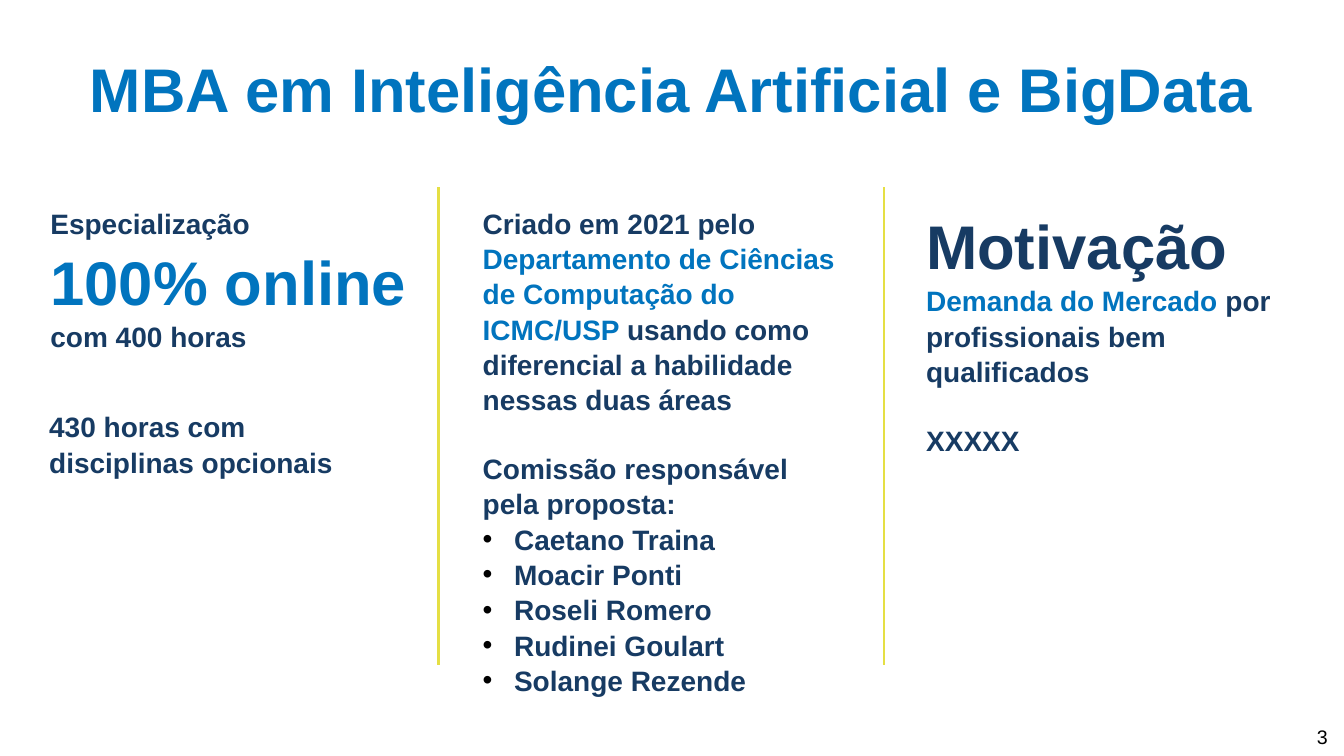
from dataclasses import dataclass

from lxml import etree
from pptx import Presentation
from pptx.dml.color import RGBColor
from pptx.enum.shapes import MSO_CONNECTOR
from pptx.enum.text import MSO_ANCHOR, MSO_AUTO_SIZE, PP_ALIGN
from pptx.oxml.ns import qn
from pptx.util import Cm, Pt


@dataclass(frozen=True)
class Theme:
    font: str = "Arial"
    navy: RGBColor = RGBColor(0x17, 0x3B, 0x63)
    blue: RGBColor = RGBColor(0x01, 0x74, 0xBE)
    yellow: RGBColor = RGBColor(0xE5, 0xDF, 0x44)
    black: RGBColor = RGBColor(0, 0, 0)
    large: Pt = Pt(44)
    normal: Pt = Pt(20)
    small: Pt = Pt(14)
    rule: Pt = Pt(1.5)
    gap: Pt = Pt(24)
    line_spacing: float = 1.05


THEME = Theme()
COLUMN_TOP = 5.03
COLUMN_WIDTH = 9.78
COMMITTEE = ["Caetano Traina", "Moacir Ponti", "Roseli Romero",
             "Rudinei Goulart", "Solange Rezende"]


@dataclass
class Line:
    """One paragraph, given as (text, colour) runs."""
    runs: list
    size: Pt = THEME.normal
    bold: bool = True
    bullet: bool = False
    gap_before: bool = False
    align: PP_ALIGN = PP_ALIGN.LEFT


def set_bullet(paragraph, visible):
    properties = paragraph._p.get_or_add_pPr()
    indent = Cm(0.79) if visible else 0
    properties.set("marL", str(indent))
    properties.set("indent", str(-indent))
    if not visible:
        etree.SubElement(properties, qn("a:buNone"))
        return
    colour = etree.SubElement(properties, qn("a:buClr"))
    etree.SubElement(colour, qn("a:srgbClr")).set("val", str(THEME.black))
    etree.SubElement(properties, qn("a:buFont")).set("typeface", THEME.font)
    etree.SubElement(properties, qn("a:buChar")).set("char", "•")


def write_lines(shape, lines, anchor=MSO_ANCHOR.TOP):
    frame = shape.text_frame
    frame.word_wrap = True
    frame.auto_size = MSO_AUTO_SIZE.NONE
    frame.vertical_anchor = anchor
    for index, line in enumerate(lines):
        paragraph = frame.add_paragraph() if index else frame.paragraphs[0]
        set_bullet(paragraph, line.bullet)
        paragraph.alignment = line.align
        paragraph.line_spacing = THEME.line_spacing
        paragraph.space_before = THEME.gap if line.gap_before else Pt(0)
        paragraph.font.name = THEME.font
        paragraph.font.size = line.size
        paragraph.font.bold = line.bold
        for text, colour in line.runs:
            run = paragraph.add_run()
            run.text = text
            run.font.color.rgb = colour


def place(shape, left, top, width, height):
    shape.left, shape.top = Cm(left), Cm(top)
    shape.width, shape.height = Cm(width), Cm(height)


def add_text(slide, left, top, width, height, lines, anchor=MSO_ANCHOR.TOP):
    box = slide.shapes.add_textbox(Cm(left), Cm(top), Cm(width), Cm(height))
    write_lines(box, lines, anchor)


def add_divider(slide, x):
    divider = slide.shapes.add_connector(
        MSO_CONNECTOR.STRAIGHT, Cm(x), Cm(4.72), Cm(x), Cm(16.76))
    divider.line.color.rgb = THEME.yellow
    divider.line.width = THEME.rule
    etree.SubElement(divider._element.spPr, qn("a:effectLst"))


def main():
    presentation = Presentation()
    presentation.slide_width, presentation.slide_height = Cm(33.87), Cm(19.05)
    slide = presentation.slides.add_slide(presentation.slide_layouts[1])
    navy, blue = THEME.navy, THEME.blue

    title = slide.shapes.title
    place(title, 0.61, 1.07, 32.64, 2.13)
    write_lines(title, [Line([("MBA em Inteligência Artificial e BigData", blue)],
                             THEME.large, align=PP_ALIGN.CENTER)])

    add_text(slide, 1.02, COLUMN_TOP, 10.69, 3.84, [
        Line([("Especialização", navy)]),
        Line([("100% online", blue)], THEME.large),
        Line([("com 400 horas", navy)]),
    ])
    add_text(slide, 0.99, 10.16, 8.05, 1.96,
             [Line([("430 horas com disciplinas opcionais", navy)])])

    origin = slide.placeholders[1]
    place(origin, 11.91, COLUMN_TOP, COLUMN_WIDTH, 12.22)
    write_lines(origin, [
        Line([("Criado em 2021 pelo ", navy),
              ("Departamento de Ciências de Computação do ICMC/USP ", blue),
              ("usando como diferencial a habilidade nessas duas áreas", navy)]),
        Line([("Comissão responsável pela proposta:", navy)], gap_before=True),
        *[Line([(name, navy)], bullet=True) for name in COMMITTEE],
    ])

    add_text(slide, 23.09, COLUMN_TOP, COLUMN_WIDTH, 6.4, [
        Line([("Motivação", navy)], THEME.large),
        Line([("Demanda do Mercado ", blue),
              ("por profissionais bem qualificados", navy)]),
        Line([("XXXXX", navy)], gap_before=True),
    ])

    for x in (11.05, 22.28):
        add_divider(slide, x)
    add_text(slide, 26.09, 18.03, 7.62, 1.02,
             [Line([("3", THEME.black)], THEME.small, bold=False,
                   align=PP_ALIGN.RIGHT)], MSO_ANCHOR.MIDDLE)

    presentation.save("out.pptx")


if __name__ == "__main__":
    main()
